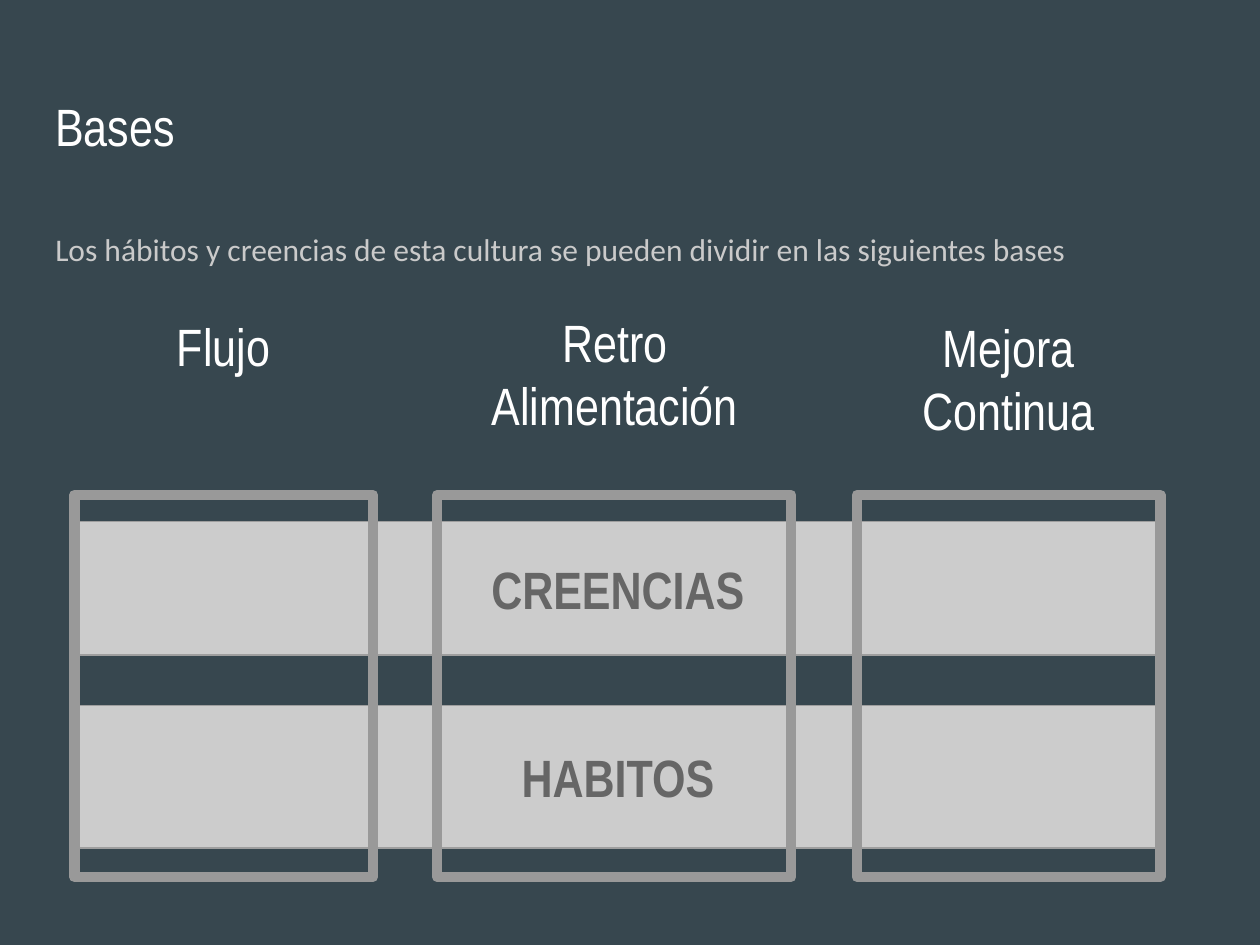
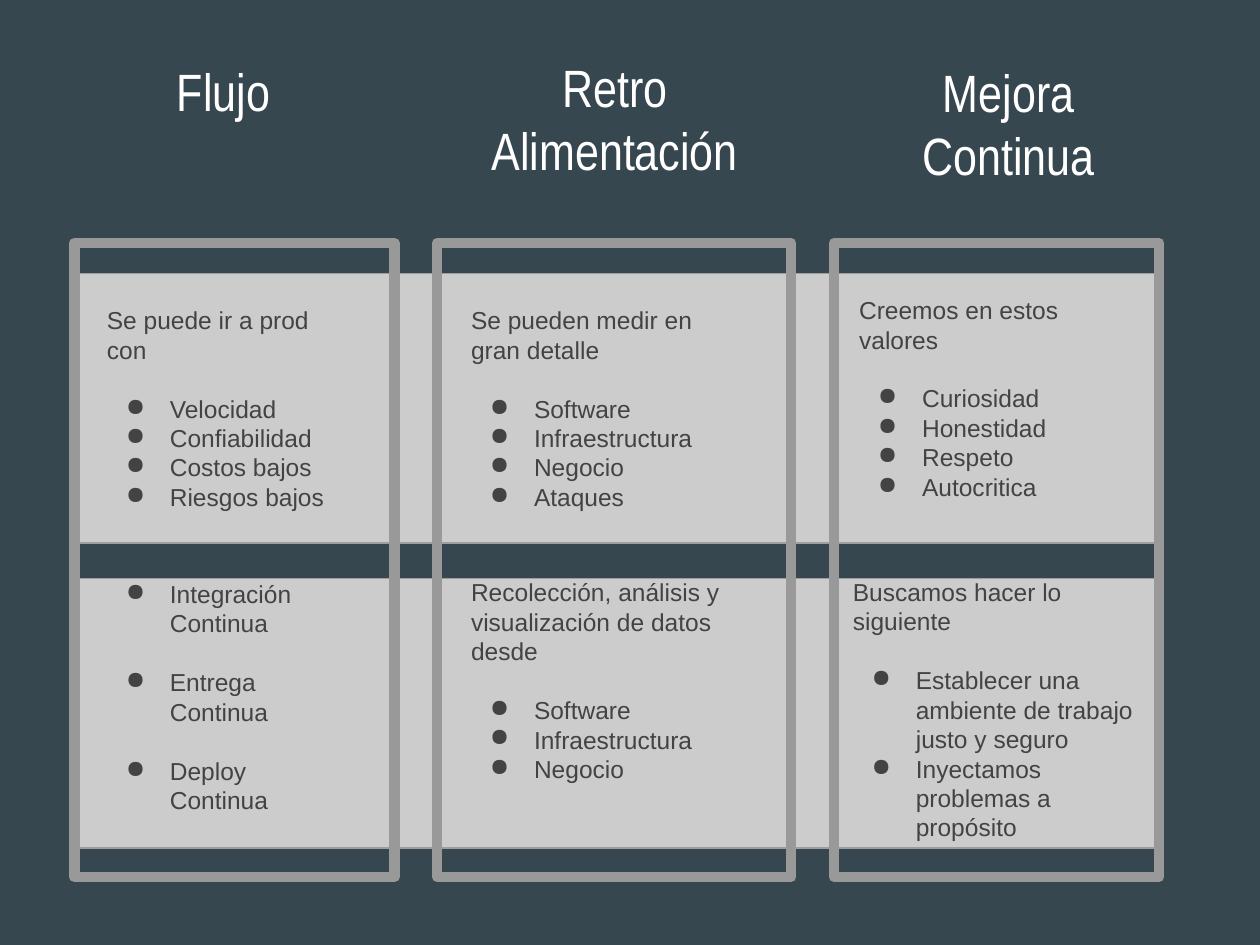
import pptx
import pptx.util
import pptx.dml.color
import pptx.enum.shapes
import pptx.enum.text
import lxml.etree

Inches = pptx.util.Inches
Pt = pptx.util.Pt
RGBColor = pptx.dml.color.RGBColor
ALIGN = pptx.enum.text.PP_ALIGN
ANCHOR = pptx.enum.text.MSO_ANCHOR
RECT = pptx.enum.shapes.MSO_SHAPE.RECTANGLE

SLATE = RGBColor(0x37, 0x47, 0x4F)
WHITE = RGBColor(0xFF, 0xFF, 0xFF)
PALE = RGBColor(0xCA, 0xCA, 0xCA)
BAND = RGBColor(0xCC, 0xCC, 0xCC)
EDGE = RGBColor(0x9E, 0x9E, 0x9E)
FRAME = RGBColor(0x99, 0x99, 0x99)
LABEL = RGBColor(0x66, 0x66, 0x66)
INK = RGBColor(0x43, 0x43, 0x43)

HEAD = ("Arial Narrow", 30, WHITE)
LEAD = ("Calibri", 18, PALE)
NOTE = ("Arial", 14, INK)
LINE = Pt(16.8)  # height of one line of notes


def write(shape, lines, style, align=None, anchor=ANCHOR.TOP):
    """Fill a shape with styled paragraphs and return them."""
    frame = shape.text_frame
    frame.word_wrap = True
    frame.vertical_anchor = anchor
    frame.margin_left = frame.margin_right = Inches(0.1)
    frame.margin_top = frame.margin_bottom = Inches(0.1)
    for i, line in enumerate(lines):
        para = frame.paragraphs[0] if i == 0 else frame.add_paragraph()
        para.text = line.removeprefix("● ")
        para.alignment = align
        if line.startswith("● "):
            props = para._p.get_or_add_pPr()
            props.set("marL", str(Inches(0.5)))
            props.set("indent", str(Inches(-0.35)))
            ns = "{http://schemas.openxmlformats.org/drawingml/2006/main}"
            tint = lxml.etree.SubElement(props, ns + "buClr")
            lxml.etree.SubElement(tint, ns + "srgbClr", val=str(INK))
            lxml.etree.SubElement(props, ns + "buChar", char="●")
        para.font.name, para.font.size = style[0], Pt(style[1])
        para.font.color.rgb = style[2]
    return frame.paragraphs


def block(slide, box, fill, line, width):
    """Add a rectangle; without a fill it is an open frame."""
    shape = slide.shapes.add_shape(RECT, *map(Inches, box))
    shape.shadow.inherit = False
    if fill is None:
        shape.fill.background()
    else:
        shape.fill.solid()
        shape.fill.fore_color.rgb = fill
    shape.line.color.rgb = line
    shape.line.width = Pt(width)
    return shape


deck = pptx.Presentation()
deck.slide_width = Inches(10)
deck.slide_height = Inches(7.5)

# Column heads: left, offset from the head row, width, height, lines
heads = [
    (1.09, 0.03, 1.37, 0.83, ["Flujo"]),
    (3.75, 0, 2.26, 1.21, ["Retro Alimentación"]),
    (7.15, 0.04, 1.71, 1.13, ["Mejora", "Continua"]),
]

# Per slide: head row, bands (top, height, label), frame top, frames (left, width)
plans = [
    (2.36, [(4.14, 1.06, "CREENCIAS"), (5.6, 1.13, "HABITOS")],
     3.93, [(0.59, 2.37), (3.47, 2.81), (6.8, 2.41)]),
    (0.34, [(2.17, 2.14, ""), (4.59, 2.14, "")],
     1.93, [(0.59, 2.54), (3.47, 2.81), (6.62, 2.58)]),
]

# Heads, bands and frames of both slides
slides = []
for row, bands, top, frames in plans:
    slide = deck.slides.add_slide(deck.slide_layouts[6])
    slide.background.fill.solid()
    slide.background.fill.fore_color.rgb = SLATE
    slides.append(slide)
    for left, drop, width, height, lines in heads:
        box = slide.shapes.add_textbox(
            Inches(left), Inches(row + drop), Inches(width), Inches(height))
        write(box, lines, HEAD, ALIGN.CENTER)
    for y, height, label in bands:
        band = block(slide, (0.6, y, 8.61, height), BAND, EDGE, 0.75)
        if label:
            paras = write(band, [label], ("Arial Narrow", 30, LABEL),
                          ALIGN.CENTER, ANCHOR.MIDDLE)
            paras[0].font.bold = True
    for left, width in frames:
        block(slide, (left, top, width, 6.96 - top), None, FRAME, 6)

# Slide 1: title and lead
bases, detail = slides
title = bases.shapes.add_textbox(Inches(0.34), Inches(0.65), Inches(9.32), Inches(0.83))
write(title, ["Bases"], HEAD)
lead = bases.shapes.add_textbox(Inches(0.34), Inches(1.68), Inches(9.32), Inches(0.57))
text = "Los hábitos y creencias de esta cultura se pueden dividir en las siguientes bases"
para = write(lead, [text], LEAD)[0]
para.line_spacing = 1.15
para.space_after = Pt(16)

# Slide 2: notes in each cell
notes = [
    (0.75, 2.3, 2.04, 1.88, ["Se puede ir a prod con", "● Velocidad",
     "● Confiabilidad", "● Costos bajos", "● Riesgos bajos"]),
    (0.75, 4.46, 2.04, 2.14, ["● Integración Continua", "● Entrega Continua",
     "● Deploy Continua"]),
    (3.64, 2.3, 2.37, 1.88, ["Se pueden medir en gran detalle", "● Software",
     "● Infraestructura", "● Negocio", "● Ataques"]),
    (3.64, 4.46, 2.37, 1.88, ["Recolección, análisis y visualización de datos desde",
     "● Software", "● Infraestructura", "● Negocio"]),
    (6.72, 2.22, 2.37, 1.88, ["Creemos en estos valores", "● Curiosidad",
     "● Honestidad", "● Respeto", "● Autocritica"]),
    (6.67, 4.47, 2.58, 2.32, ["Buscamos hacer lo siguiente",
     "● Establecer una ambiente de trabajo justo y seguro",
     "● Inyectamos problemas a propósito"]),
]
for left, top, width, height, lines in notes:
    box = detail.shapes.add_textbox(
        Inches(left), Inches(top), Inches(width), Inches(height))
    paras = write(box, lines, NOTE, anchor=ANCHOR.MIDDLE)
    spaced = lines[0].startswith("● ")  # a list without an intro is set wide
    for i, para in enumerate(paras):
        para.line_spacing = LINE
        if i == 1 or (spaced and i > 0):
            para.space_before = LINE

deck.save("out.pptx")
